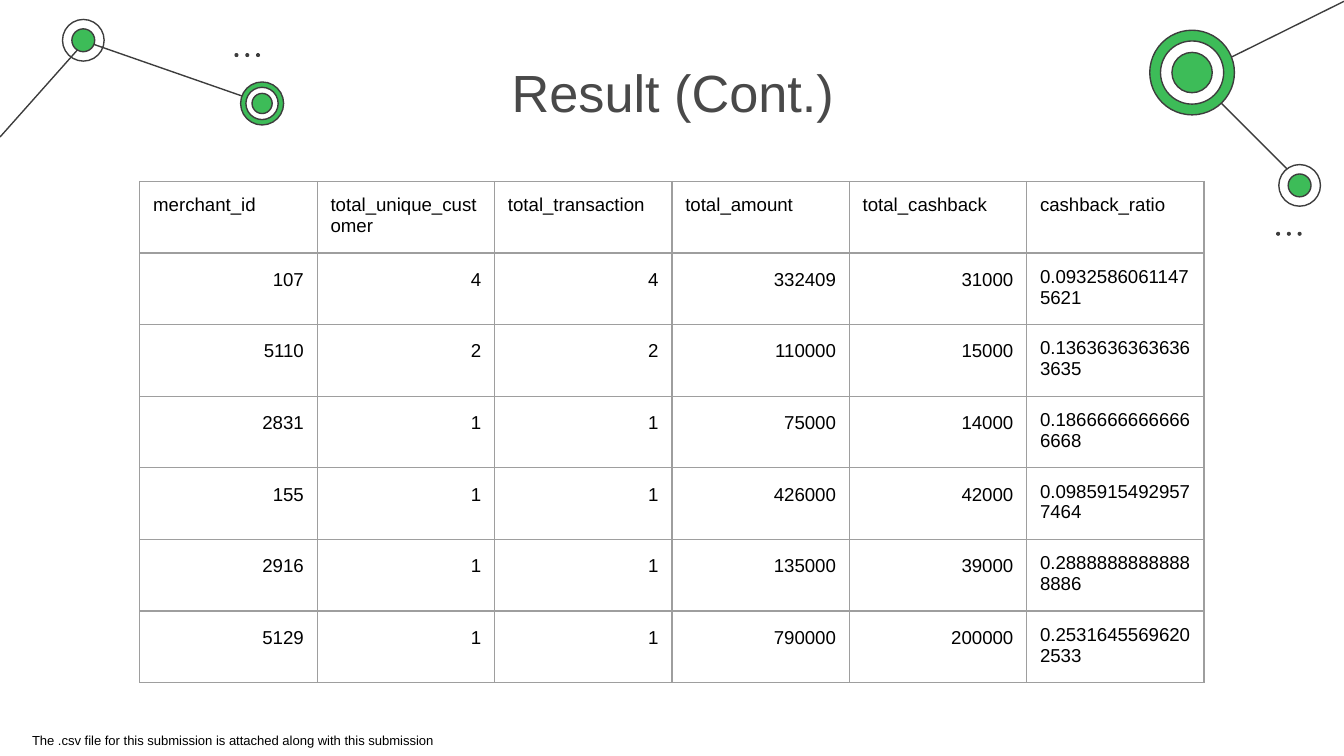
from lxml import etree
from pptx import Presentation, util as u
from pptx.dml.color import RGBColor
from pptx.enum import shapes as sh, text as tx
from pptx.oxml.ns import qn

HUE = {"ink": "3D3D3D", "green": "3DBC58", "white": "FFFFFF",
       "title": "494949", "text": "000000", "grid": "9E9E9E"}
WIDE, HIGH = 10, 5.625

deck = Presentation()
deck.slide_width, deck.slide_height = u.Inches(WIDE), u.Inches(HIGH)
slide = deck.slides.add_slide(deck.slide_layouts[5])


def write(frame, words, size=10, hue="text", align="LEFT", space=1.0):
    frame.word_wrap = True
    frame.auto_size = tx.MSO_AUTO_SIZE.NONE
    frame.vertical_anchor = tx.MSO_ANCHOR.TOP
    frame.margin_left = frame.margin_right = u.Inches(0.1)
    frame.margin_top = frame.margin_bottom = u.Inches(0.1)
    para = frame.paragraphs[0]
    para.alignment = getattr(tx.PP_ALIGN, align)
    para.line_spacing = space
    run = para.add_run()
    run.text = words
    run.font.name, run.font.size = "Arial", u.Pt(size)
    run.font.color.rgb = RGBColor.from_string(HUE[hue])


def disc(x, y, wide, fill, edge=True):
    dot = slide.shapes.add_shape(
        sh.MSO_SHAPE.OVAL, *map(u.Inches, (x - wide / 2, y - wide / 2, wide, wide)))
    dot.shadow.inherit = False
    if fill:
        dot.fill.solid()
        dot.fill.fore_color.rgb = RGBColor.from_string(HUE[fill])
    else:
        dot.fill.background()
    if edge:
        dot.line.color.rgb = RGBColor.from_string(HUE["ink"])
        dot.line.width = u.Pt(0.75)
    else:
        dot.line.fill.background()


# Network lines
for ends in [(9.67, 1.35, 8.87, 0.55), (0.64, 0.31, 1.96, 0.77),
             (0, 1.02, 0.64, 0.3), (10, 0.01, 8.91, 0.55)]:
    line = slide.shapes.add_connector(
        sh.MSO_CONNECTOR.STRAIGHT, *map(u.Inches, ends))
    line.line.color.rgb = RGBColor.from_string(HUE["ink"])
    line.line.width = u.Pt(0.75)
    etree.SubElement(line._element.spPr, qn("a:effectLst"))

# Network nodes: centre, then rings from the outside in
nodes = [
    (0.62, 0.3, [(0.31, None), (0.17, "green")]),
    (1.95, 0.77, [(0.32, "green"), (0.24, "white"), (0.15, "green")]),
    (8.87, 0.54, [(0.63, "green"), (0.47, "white"), (0.3, "green")]),
    (9.67, 1.38, [(0.31, "white"), (0.17, "green")]),
]
for x, y, rings in nodes:
    for wide, fill in rings:
        disc(x, y, wide, fill)

# Rows of three dots
for x, y in [(1.76, 0.41), (9.51, 1.74)]:
    for step in range(3):
        disc(x + 0.08 * step, y, 0.03, "ink", edge=False)

# Title
head = slide.shapes.title
head.left, head.top, head.width, head.height = map(
    u.Inches, (1.72, 0.35, 6.57, 0.65))
write(head.text_frame, "Result (Cont.)", size=28, hue="title", align="CENTER")

# Footnote
note = slide.shapes.add_textbox(*map(u.Inches, (0.14, 5.35, 3.47, 0.32)))
write(note.text_frame,
      "The .csv file for this submission is attached along with this submission",
      size=7)

# Merchant table
rows = [
    ["merchant_id", "total_unique_customer", "total_transaction",
     "total_amount", "total_cashback", "cashback_ratio"],
    ["107", "4", "4", "332409", "31000", "0.09325860611475621"],
    ["5110", "2", "2", "110000", "15000", "0.13636363636363635"],
    ["2831", "1", "1", "75000", "14000", "0.18666666666666668"],
    ["155", "1", "1", "426000", "42000", "0.09859154929577464"],
    ["2916", "1", "1", "135000", "39000", "0.28888888888888886"],
    ["5129", "1", "1", "790000", "200000", "0.25316455696202533"],
]
grid = slide.shapes.add_table(
    len(rows), len(rows[0]), *map(u.Inches, (1.04, 1.35, 7.92, 3.73))).table
grid.first_row = grid.horz_banding = False
for r, row in enumerate(rows):
    for c, words in enumerate(row):
        cell = grid.cell(r, c)
        number = r > 0 and c < len(row) - 1
        write(cell.text_frame, words, align="RIGHT" if number else "LEFT",
              space=1.15 if number else 1.0)
        cell.margin_left = cell.margin_right = u.Inches(0.1)
        cell.margin_top = cell.margin_bottom = u.Inches(0.1)
        props = cell._tc.get_or_add_tcPr()
        for side in ("lnL", "lnR", "lnT", "lnB"):
            edge = etree.SubElement(props, qn("a:" + side), w=str(u.Pt(0.75)))
            ink = etree.SubElement(edge, qn("a:solidFill"))
            etree.SubElement(ink, qn("a:srgbClr"), val=HUE["grid"])
        cell.fill.background()

deck.save("out.pptx")
